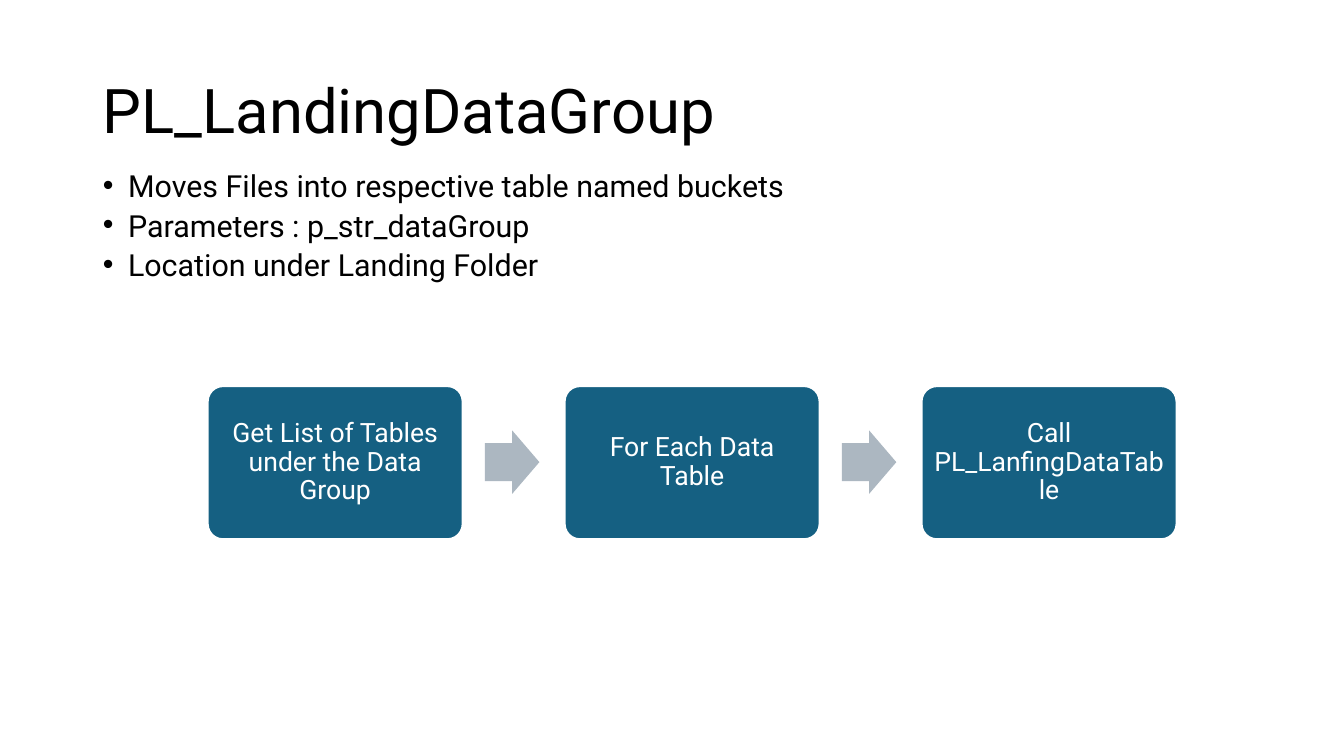
from lxml.etree import SubElement
from pptx import Presentation
from pptx.dml.color import RGBColor
from pptx.enum.shapes import MSO_SHAPE as Shape
from pptx.enum.text import MSO_ANCHOR as Anchor, MSO_AUTO_SIZE as AutoSize, PP_ALIGN as Align
from pptx.oxml.ns import qn
from pptx.util import Inches, Pt

BLACK = RGBColor(0x00, 0x00, 0x00)
WHITE = RGBColor(0xFF, 0xFF, 0xFF)
TEAL = RGBColor(0x15, 0x60, 0x82)
GREY = RGBColor(0xAC, 0xB7, 0xC1)

TITLE = "PL_LandingDataGroup"
DETAILS = [
    "Moves Files into respective table named buckets",
    "Parameters : p_str_dataGroup",
    "Location under Landing Folder",
]
STEPS = [
    "Get List of Tables under the Data Group",
    "For Each Data Table",
    "Call PL_LanfingDataTable",
]
STEP_LEFT, STEP_PITCH = 2.06, 3.54
ARROW_OFFSET = 2.75


class SlideBuilder:
    font = "Roboto"

    def __init__(self, slide):
        self.slide = slide

    def format_paragraph(self, paragraph, size, color, align, line_spacing):
        paragraph.alignment = align
        paragraph.line_spacing = line_spacing
        for run in paragraph.runs:
            run.font.name = self.font
            run.font.size = Pt(size)
            run.font.color.rgb = color

    def place(self, shape, left, top, width, height):
        shape.left, shape.top = Inches(left), Inches(top)
        shape.width, shape.height = Inches(width), Inches(height)
        shape.text_frame.auto_size = AutoSize.NONE
        shape.text_frame.word_wrap = True

    def title(self, text):
        shape = self.slide.shapes.title
        self.place(shape, 0.92, 0.4, 11.5, 1.45)
        shape.text_frame.text = text
        shape.text_frame.vertical_anchor = Anchor.MIDDLE
        self.format_paragraph(shape.text_frame.paragraphs[0], 44, BLACK, Align.LEFT, 0.9)

    def bullets(self, lines):
        shape = self.slide.placeholders[1]
        self.place(shape, 0.92, 1.71, 11.5, 1.18)
        shape.text_frame.text = "\n".join(lines)
        for paragraph in shape.text_frame.paragraphs:
            self.format_paragraph(paragraph, 21.7, BLACK, Align.LEFT, 0.7)
            paragraph.space_before = Pt(10)
            properties = paragraph._p.get_or_add_pPr()
            properties.set("marL", str(Inches(0.25)))
            properties.set("indent", str(Inches(-0.25)))
            SubElement(properties, qn("a:buFont")).set("typeface", "Arial")
            SubElement(properties, qn("a:buChar")).set("char", "•")

    def block(self, kind, left, top, width, height, fill, adjustments):
        shape = self.slide.shapes.add_shape(
            kind, Inches(left), Inches(top), Inches(width), Inches(height))
        shape.shadow.inherit = False
        shape.fill.solid()
        shape.fill.fore_color.rgb = fill
        shape.line.fill.background()
        for index, value in enumerate(adjustments):
            shape.adjustments[index] = value
        return shape

    def step(self, left, text):
        shape = self.block(Shape.ROUNDED_RECTANGLE, left, 3.83, 2.53, 1.52, TEAL, [0.1])
        shape.line.color.rgb = WHITE
        shape.line.width = Pt(1.5)
        frame = shape.text_frame
        frame.word_wrap = True
        frame.vertical_anchor = Anchor.MIDDLE
        frame.margin_left = frame.margin_right = Inches(0.08)
        frame.margin_top = frame.margin_bottom = Inches(0.08)
        frame.text = text
        self.format_paragraph(frame.paragraphs[0], 19, WHITE, Align.CENTER, 0.9)

    def arrow(self, left):
        self.block(Shape.RIGHT_ARROW, left, 4.27, 0.54, 0.63, GREY, [0.6, 0.5])


def main():
    presentation = Presentation()
    presentation.slide_width = Inches(13.33)
    presentation.slide_height = Inches(7.5)
    builder = SlideBuilder(presentation.slides.add_slide(presentation.slide_layouts[1]))
    builder.title(TITLE)
    for index, text in enumerate(STEPS):
        left = STEP_LEFT + index * STEP_PITCH
        builder.step(left, text)
        if index < len(STEPS) - 1:
            builder.arrow(left + ARROW_OFFSET)
    builder.bullets(DETAILS)
    presentation.save("out.pptx")


if __name__ == "__main__":
    main()
